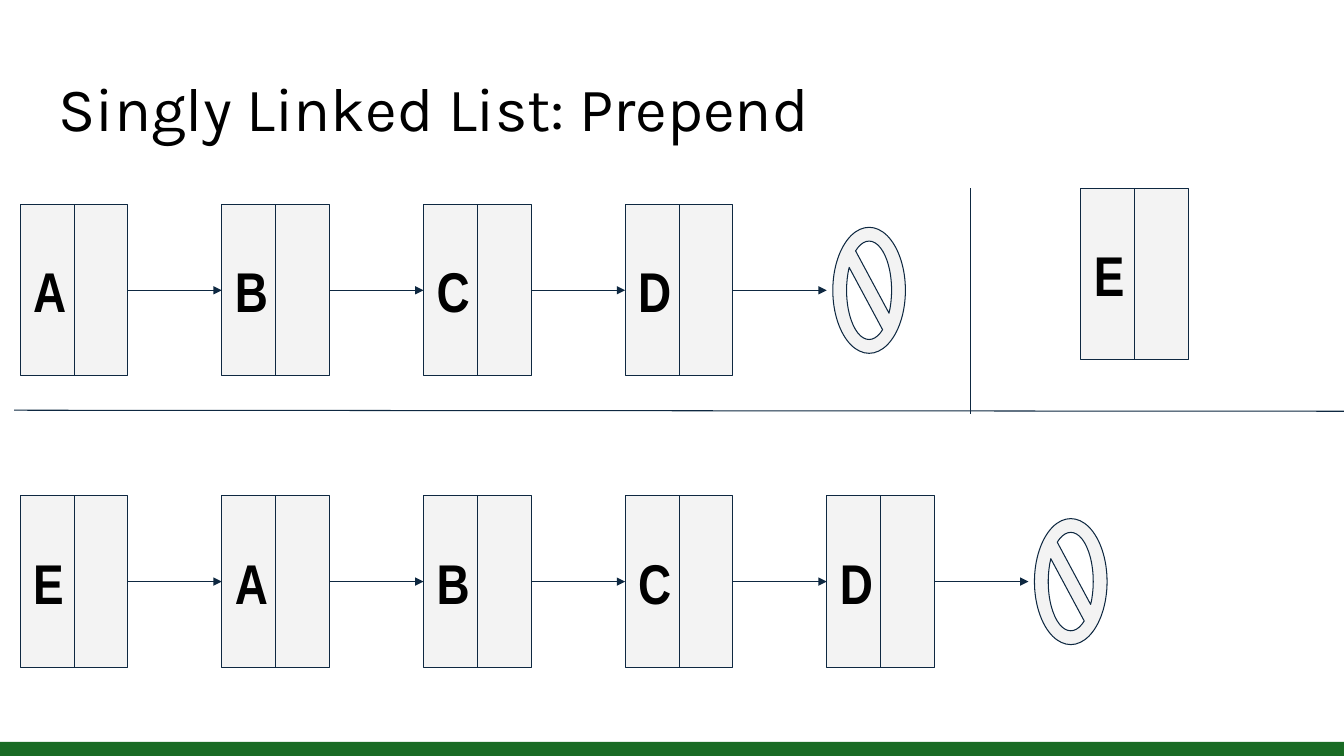
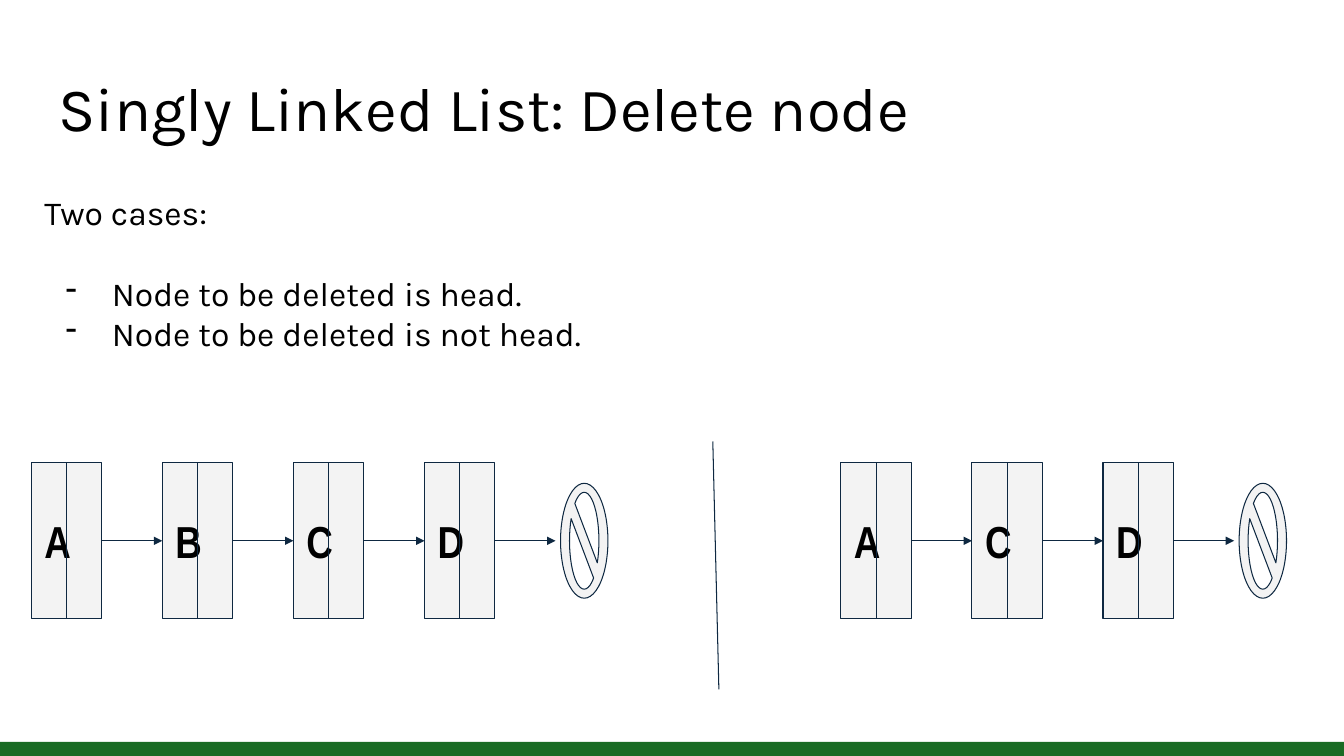
from pptx import Presentation
from pptx.dml.color import RGBColor
from pptx.enum.shapes import MSO_CONNECTOR, MSO_SHAPE
from pptx.enum.text import MSO_ANCHOR, PP_ALIGN
from pptx.oxml.ns import qn
from pptx.util import Inches, Pt
from lxml.etree import SubElement

# Shared look
GREEN = RGBColor(0x19, 0x6B, 0x24)
NAVY = RGBColor(0x0E, 0x28, 0x41)
GRAY = RGBColor(0xF3, 0xF3, 0xF3)
BLACK = RGBColor(0, 0, 0)
WIDTH, HEIGHT = 13.33, 7.5
BAND = 0.14
INSET = 0.13

# Node sizes: box width and height, pitch, null sign width and height, gap, text size
LARGE = dict(w=1.07, h=1.7, pitch=2, sign=(0.72, 1.25), gap=0.06, size=40)
SMALL = dict(w=0.7, h=1.55, pitch=1.3, sign=(0.47, 1.14), gap=0.05, size=32)

# Content: chains are (labels, left, top), rules are (x1, y1, x2, y2)
SLIDES = [
    dict(
        title="Singly Linked List: Prepend",
        style=LARGE,
        chains=[("ABCD", 0.2, 2.03), ("EABCD", 0.2, 4.92)],
        single=("E", 10.72, 1.87),
        rules=[(9.63, 1.87, 9.63, 4.11), (0.14, 4.07, WIDTH, 4.08)],
    ),
    dict(
        title="Singly Linked List: Delete node",
        style=SMALL,
        chains=[("ABCD", 0.31, 4.59), ("ACD", 8.34, 4.59)],
        rules=[(7.07, 4.38, 7.13, 6.84)],
        lead="Two cases:",
        points=["Node to be deleted is head.", "Node to be deleted is not head."],
    ),
]


def add_run(para, text, size, font, bold=False):
    run = para.add_run()
    run.text = text
    run.font.size = Pt(size)
    run.font.name = font
    run.font.bold = bold
    run.font.color.rgb = BLACK


def set_frame(shape, anchor=MSO_ANCHOR.TOP):
    frame = shape.text_frame
    frame.word_wrap = True
    frame.vertical_anchor = anchor
    frame.margin_left = frame.margin_right = Inches(INSET)
    frame.margin_top = frame.margin_bottom = Inches(INSET)
    return frame


def add_text(slide, *box):
    return set_frame(slide.shapes.add_textbox(*map(Inches, box)))


def add_shape(slide, kind, box, fill, line=None):
    shape = slide.shapes.add_shape(kind, *map(Inches, box))
    shape.shadow.inherit = False
    shape.fill.solid()
    shape.fill.fore_color.rgb = fill
    if line is None:
        shape.line.fill.background()
    else:
        shape.line.color.rgb = line
        shape.line.width = Pt(0.75)
    return shape


def add_line(slide, ends, arrow=False):
    line = slide.shapes.add_connector(MSO_CONNECTOR.STRAIGHT, *map(Inches, ends))
    line.line.color.rgb = NAVY
    line.line.width = Pt(0.75)
    if arrow:
        SubElement(line.line._get_or_add_ln(), qn("a:tailEnd"), type="triangle")
    SubElement(line._element.spPr, qn("a:effectLst"))
    return line


def add_node(slide, label, x, y, style):
    w, h = style["w"], style["h"]
    node = add_shape(slide, MSO_SHAPE.RECTANGLE, (x, y, w, h), GRAY, NAVY)
    para = set_frame(node, MSO_ANCHOR.MIDDLE).paragraphs[0]
    para.alignment = PP_ALIGN.LEFT
    add_run(para, label, style["size"], "Arial Narrow", bold=True)
    split = add_line(slide, (x + w / 2, y, x + w / 2, y + h))
    split.begin_connect(node, 0)
    split.end_connect(node, 2)
    return node


def add_chain(slide, labels, left, top, style):
    w, pitch = style["w"], style["pitch"]
    mid = top + style["h"] / 2
    nodes = [add_node(slide, label, left + i * pitch, top, style)
             for i, label in enumerate(labels)]

    # One arrow leaves each node; the last one points at the null sign
    for i, node in enumerate(nodes):
        x = left + i * pitch
        arrow = add_line(slide, (x + w, mid, x + pitch, mid), arrow=True)
        arrow.begin_connect(node, 3)
        if i + 1 < len(nodes):
            arrow.end_connect(nodes[i + 1], 1)

    sw, sh = style["sign"]
    x = left + len(nodes) * pitch + style["gap"]
    sign = add_shape(slide, MSO_SHAPE.NO_SYMBOL, (x, mid - sh / 2, sw, sh), GRAY, NAVY)
    sign.adjustments[0] = 0.19


def add_cases(slide, lead, points):
    frame = add_text(slide, 0.31, 1.77, 7.35, 2.1)
    para = frame.paragraphs[0]
    para.space_after = Pt(29)
    add_run(para, lead, 24, "Karla")
    for point in points:
        para = frame.add_paragraph()
        props = para._p.get_or_add_pPr()
        props.set("marL", str(Inches(0.67)))
        props.set("indent", str(Inches(-0.46)))
        SubElement(props, qn("a:buChar"), char="-")
        add_run(para, point, 24, "Karla")


def add_base(deck, title):
    slide = deck.slides.add_slide(deck.slide_layouts[6])
    add_shape(slide, MSO_SHAPE.RECTANGLE, (0, HEIGHT - BAND, WIDTH, BAND), GREEN)
    para = add_text(slide, 0.45, 0.65, 12.42, 1.03).paragraphs[0]
    para.line_spacing = 0.9
    add_run(para, title, 44, "Karla")
    return slide


def main():
    deck = Presentation()
    deck.slide_width, deck.slide_height = Inches(WIDTH), Inches(HEIGHT)
    for data in SLIDES:
        slide = add_base(deck, data["title"])
        for chain in data["chains"]:
            add_chain(slide, *chain, data["style"])
        if "single" in data:
            add_node(slide, *data["single"], data["style"])
        for rule in data["rules"]:
            add_line(slide, rule)
        if "points" in data:
            add_cases(slide, data["lead"], data["points"])
    deck.save("out.pptx")


if __name__ == "__main__":
    main()
